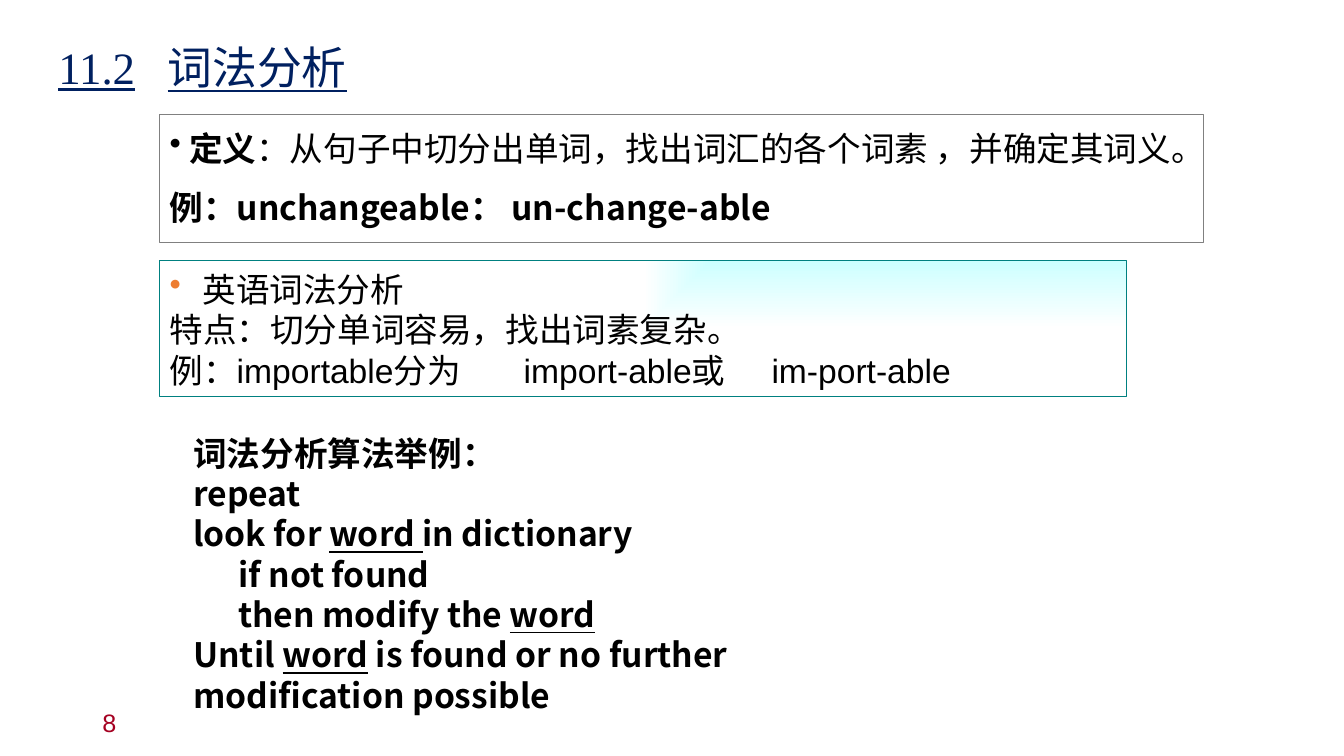
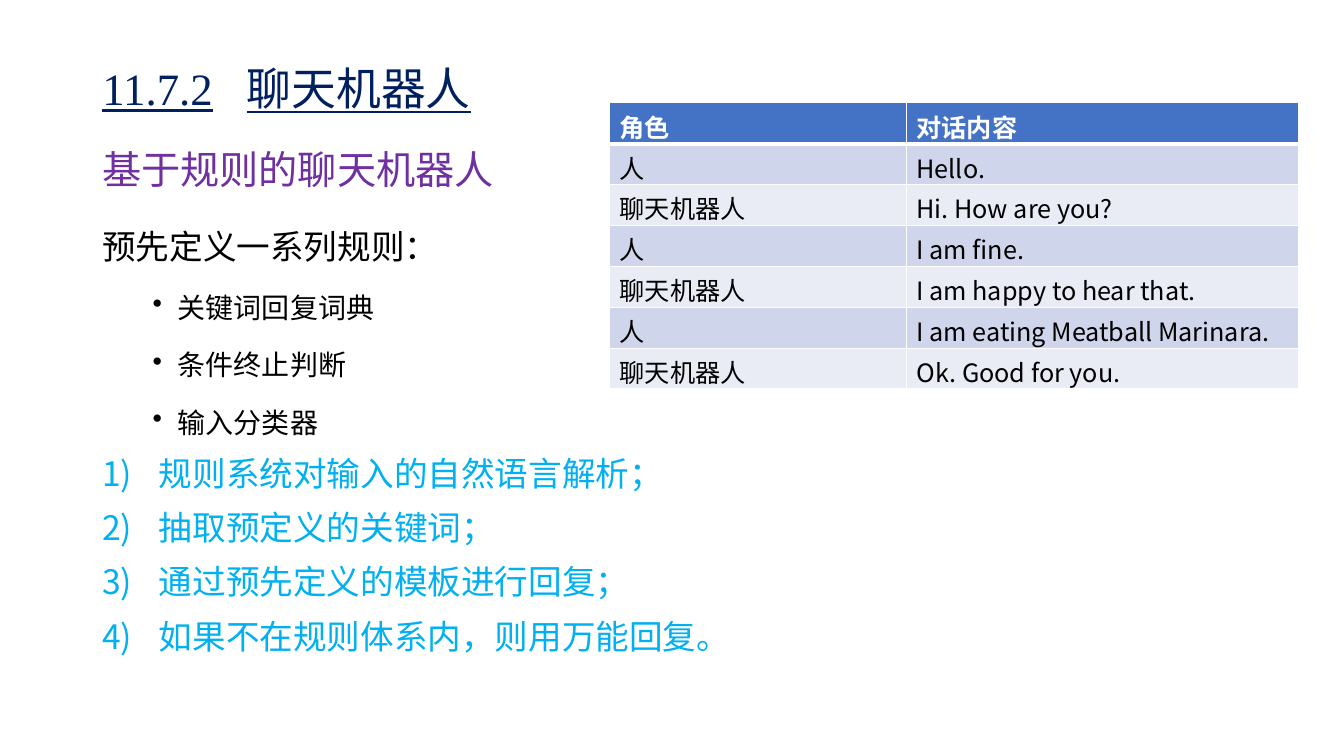
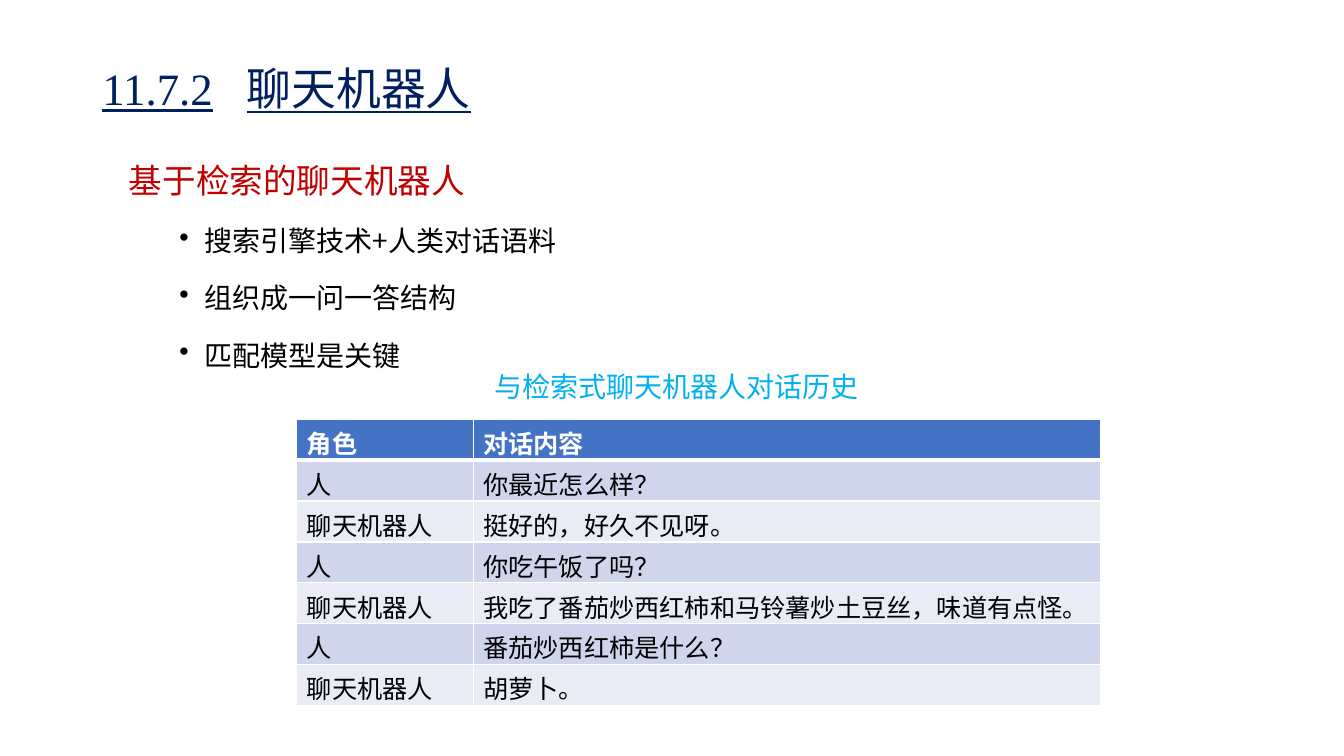
from dataclasses import dataclass

from lxml import etree
from pptx import Presentation
from pptx.dml.color import RGBColor
from pptx.enum import shapes, text
from pptx.oxml import ns
from pptx.util import Pt


@dataclass(frozen=True)
class Theme:
    sans: str = "Noto Sans CJK SC"
    latin: str = "Arial"
    serif: str = "Times New Roman"
    black: str = "000000"
    white: str = "FFFFFF"
    navy: str = "002060"
    purple: str = "7030A0"
    red: str = "C00000"
    sky: str = "00B0F0"
    orange: str = "ED7D31"
    crimson: str = "A50021"
    gray: str = "808080"
    teal: str = "008080"
    mint: str = "CCFFFF"
    header: str = "4472C4"
    bands: tuple = ("CFD5EA", "E9EBF5")
    title_size: int = 32
    heading_size: int = 28
    body_size: int = 24
    item_size: int = 20
    small_size: int = 18
    leading: float = 1.2


THEME = Theme()
BULLET = ("buChar", {"char": "•"})
NUMBER = ("buAutoNum", {"type": "arabicParenR"})


def rgb(code):
    return RGBColor.from_string(code)


def add_node(parent, tag, **attributes):
    return etree.SubElement(parent, ns.qn(f"a:{tag}"), attributes)


def add_span(para, words, size, color=THEME.black, font=THEME.sans,
             bold=False, underline=False):
    span = para.add_run()
    span.text = words
    face = span.font
    face.size, face.name = Pt(size), font
    face.bold, face.underline = bold, underline
    face.color.rgb = rgb(color)
    east_asian = etree.Element(ns.qn("a:ea"), {"typeface": THEME.sans})
    face._element.find(ns.qn("a:latin")).addnext(east_asian)


def add_tab_stops(para, positions):
    stops = add_node(para._p.get_or_add_pPr(), "tabLst")
    for position in positions:
        add_node(stops, "tab", pos=str(Pt(position)), algn="l")


def set_marker(para, marker, margin, hang, color=None):
    """Give the paragraph a bullet or number that hangs left of its margin."""
    properties = para._p.get_or_add_pPr()
    properties.set("marL", str(Pt(margin)))
    properties.set("indent", str(-Pt(hang)))
    if color:
        add_node(add_node(properties, "buClr"), "srgbClr", val=color)
    tag, attributes = marker
    add_node(properties, tag, **attributes)


def add_para(frame, spans, size=THEME.body_size, before=0, spacing=1.0,
             line=None, margin=0, **style):
    """Add a paragraph; spans are strings or (string, overrides) pairs."""
    para = frame.paragraphs[0]
    if para.runs:
        para = frame.add_paragraph()
    para.alignment = text.PP_ALIGN.LEFT
    para.space_before = Pt(before)
    para.line_spacing = Pt(line or round(size * THEME.leading * spacing, 1))
    if margin:
        para._p.get_or_add_pPr().set("marL", str(Pt(margin)))
    for span in [spans] if isinstance(spans, str) else spans:
        words, changes = (span, {}) if isinstance(span, str) else span
        add_span(para, words, **{"size": size, **style, **changes})
    return para


def prepare_frame(box, right=7.2):
    frame = box.text_frame
    frame.word_wrap = True
    frame.vertical_anchor = text.MSO_ANCHOR.TOP
    frame.margin_top = Pt(6)
    frame.margin_right = Pt(right)
    return frame


def add_text(page, left, top, width, height, right=7.2):
    box = page.shapes.add_textbox(Pt(left), Pt(top), Pt(width), Pt(height))
    return prepare_frame(box, right)


def add_panel(page, left, top, width, height, line):
    box = page.shapes.add_shape(shapes.MSO_SHAPE.RECTANGLE, Pt(left), Pt(top),
                                Pt(width), Pt(height))
    box.shadow.inherit = False
    box.fill.solid()
    box.fill.fore_color.rgb = rgb(THEME.white)
    box.line.color.rgb = rgb(line)
    box.line.width = Pt(0.75)
    return box


def fill_from_corner(box, inner, outer):
    """Fade from the top right corner to the far sides."""
    box.fill.gradient()
    for stop, color, position in zip(box.fill.gradient_stops, (inner, outer), (0, 1)):
        stop.color.rgb = rgb(color)
        stop.position = position
    linear = next(box._element.spPr.iter(ns.qn("a:lin")))
    fade = etree.Element(ns.qn("a:path"), {"path": "rect"})
    add_node(fade, "fillToRect", l="100000", b="100000")
    linear.getparent().replace(linear, fade)


def add_page(deck, number, name, left, top, width, height, stop):
    """Add a slide whose title is a section number, a tab and a name."""
    page = deck.slides.add_slide(deck.slide_layouts[5])
    box = page.shapes.title
    box.left, box.top, box.width, box.height = map(Pt, (left, top, width, height))
    frame = box.text_frame
    frame.word_wrap = True
    frame.auto_size = text.MSO_AUTO_SIZE.NONE
    frame.vertical_anchor = text.MSO_ANCHOR.MIDDLE
    para = frame.paragraphs[0]
    para.alignment = text.PP_ALIGN.LEFT
    para.line_spacing = 0.9
    add_tab_stops(para, [stop])
    add_span(para, f"{number}\t{name}", THEME.title_size, THEME.navy,
             THEME.serif, underline=True)
    return page


def add_chatbot_page(deck):
    return add_page(deck, "11.7.2", "聊天机器人", 66, 29, 448, 72, stop=103)


def add_bullets(frame, items):
    for item in items:
        para = add_para(frame, item, THEME.item_size, before=5, spacing=1.5)
        set_marker(para, BULLET, margin=54, hang=18)


def set_borders(cell, widths):
    properties = cell._tc.get_or_add_tcPr()
    for index, (side, width) in enumerate(widths.items()):
        edge = etree.Element(ns.qn(f"a:ln{side}"), {"w": str(Pt(width))})
        add_node(add_node(edge, "solidFill"), "srgbClr", val=THEME.white)
        properties.insert(index, edge)


def add_dialogue(page, left, top, widths, lines):
    """Add a table in which a person and the chatbot take turns."""
    speakers = ("人", "聊天机器人")
    rows = [("角色", "对话内容")]
    rows += [(speakers[i % 2], line) for i, line in enumerate(lines)]
    row_height = 29.2
    table = page.shapes.add_table(len(rows), 2, Pt(left), Pt(top), Pt(sum(widths)),
                                  Pt(row_height * len(rows))).table
    for column, width in zip(table.columns, widths):
        column.width = Pt(width)
    for r, row in enumerate(rows):
        table.rows[r].height = Pt(row_height)
        head = r == 0
        for c, words in enumerate(row):
            cell = table.cell(r, c)
            cell.fill.solid()
            cell.fill.fore_color.rgb = rgb(THEME.header if head else THEME.bands[(r - 1) % 2])
            set_borders(cell, {"L": 1, "R": 1, "T": 3 if r == 1 else 1,
                               "B": 3 if head else 1})
            add_span(cell.text_frame.paragraphs[0], words, THEME.small_size,
                     THEME.white if head else THEME.black, bold=head)


def add_lexical_analysis(deck):
    page = add_page(deck, "11.2", "词法分析", 34.5, 9, 294, 82, stop=78)

    number = add_text(page, 66, 500, 216, 29)
    number.vertical_anchor = text.MSO_ANCHOR.MIDDLE
    add_para(number, "8", THEME.small_size, color=THEME.crimson, font=THEME.latin)

    definition = prepare_frame(add_panel(page, 114, 82, 746, 91.5, THEME.gray), right=0)
    para = add_para(definition, [
        ("定义", {"bold": True}),
        "：从句子中切分出单词，找出词汇的各个词素 ，并确定其词义。"], line=32)
    set_marker(para, BULLET, margin=14, hang=14)
    add_para(definition, "例：unchangeable： un-change-able", before=10, line=32, bold=True)

    panel = add_panel(page, 114, 186, 690.5, 97, THEME.teal)
    fill_from_corner(panel, THEME.mint, THEME.white)
    english = prepare_frame(panel)
    para = add_para(english, "英语词法分析", font=THEME.serif)
    set_marker(para, BULLET, margin=23.5, hang=23.5, color=THEME.orange)
    add_para(english, "特点：切分单词容易，找出词素复杂。", font=THEME.serif)
    para = add_para(english, "例：importable分为\timport-able或\tim-port-able",
                    font=THEME.latin)
    add_tab_stops(para, [253, 430])

    algorithm = add_text(page, 131, 303, 542, 240, right=40)
    word = ("word", {"underline": True})
    add_para(algorithm, "词法分析算法举例：", font=THEME.latin, bold=True)
    for spans, margin in [
        ("repeat", 0),
        (["look for ", ("word ", {"underline": True}), "in dictionary"], 0),
        ("if not found", 32),
        (["then modify the ", word], 32),
        (["Until ", word, " is found or no further modification possible"], 0),
    ]:
        add_para(algorithm, spans, margin=margin, bold=True)


def add_rule_chatbot(deck):
    page = add_chatbot_page(deck)
    frame = add_text(page, 66, 101, 828, 393)
    add_para(frame, "基于规则的聊天机器人", THEME.heading_size, spacing=0.9,
             color=THEME.purple)
    add_para(frame, "预先定义一系列规则：", before=10, spacing=1.5)
    add_bullets(frame, ["关键词回复词典", "条件终止判断", "输入分类器"])
    for step in ["规则系统对输入的自然语言解析；", "抽取预定义的关键词；",
                 "通过预先定义的模板进行回复；", "如果不在规则体系内，则用万能回复。"]:
        para = add_para(frame, step, before=10, color=THEME.sky)
        set_marker(para, NUMBER, margin=40.5, hang=40.5)
    add_dialogue(page, 435.5, 73.5, (212, 280), [
        "Hello.", "Hi. How are you?", "I am fine.", "I am happy to hear that.",
        "I am eating Meatball Marinara.", "Ok. Good for you."])


def add_retrieval_chatbot(deck):
    page = add_chatbot_page(deck)
    frame = add_text(page, 85, 93.5, 828, 206)
    add_para(frame, "基于检索的聊天机器人", spacing=1.5, color=THEME.red)
    add_bullets(frame, ["搜索引擎技术+人类对话语料", "组织成一问一答结构", "匹配模型是关键"])
    add_dialogue(page, 212, 299.5, (126, 448), [
        "你最近怎么样？", "挺好的，好久不见呀。", "你吃午饭了吗？",
        "我吃了番茄炒西红柿和马铃薯炒土豆丝，味道有点怪。",
        "番茄炒西红柿是什么？", "胡萝卜。"])
    caption = add_text(page, 346, 258, 319, 31.5)
    add_para(caption, "与检索式聊天机器人对话历史", THEME.item_size, color=THEME.sky)


def main():
    deck = Presentation()
    deck.slide_width, deck.slide_height = Pt(960), Pt(540)
    add_lexical_analysis(deck)
    add_rule_chatbot(deck)
    add_retrieval_chatbot(deck)
    deck.save("out.pptx")


if __name__ == "__main__":
    main()
